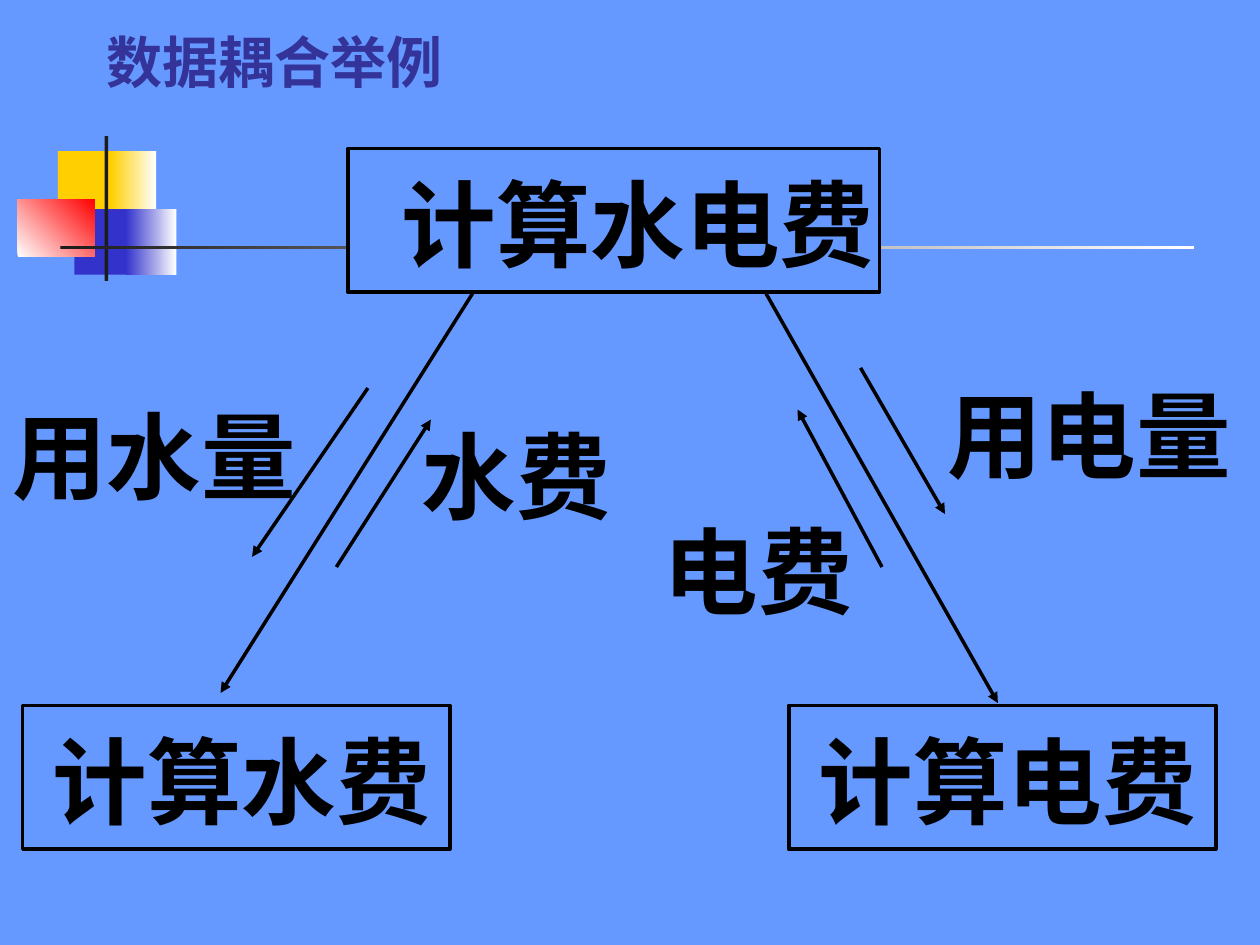
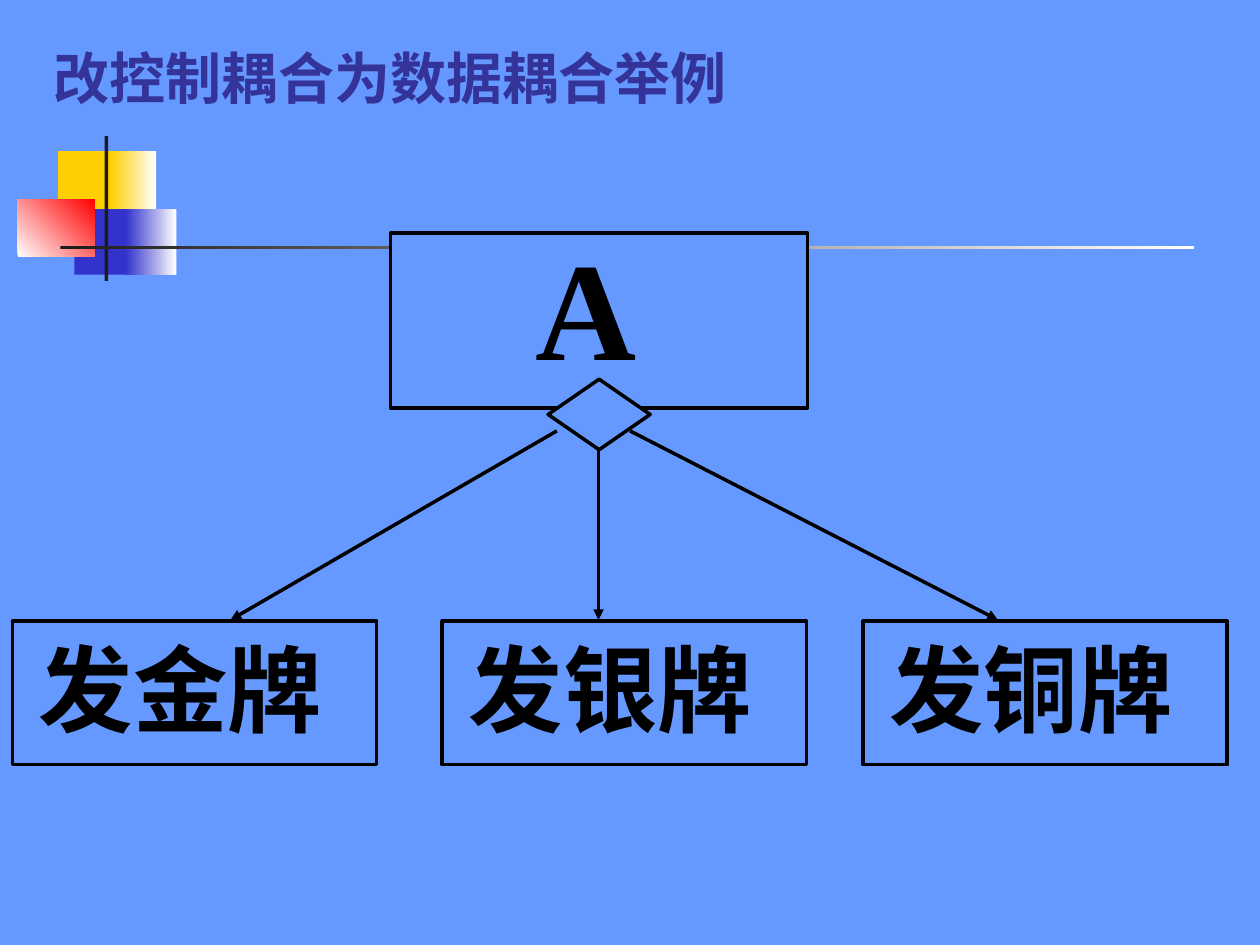
from typing import NamedTuple

from lxml import etree
from pptx import Presentation, util as u
from pptx.dml.color import RGBColor
from pptx.enum import shapes, text
from pptx.oxml import ns

COLORS = {
    "background": "6699FF",
    "title": "333399",
    "ink": "000000",
    "yellow": "FFCF01",
    "blue": "3333CC",
    "red": "FF0000",
    "white": "FFFFFF",
    "dark": "1C1C1C",
}
CJK_FONT = "Noto Sans CJK SC"
LATIN_FONT = "Times New Roman"
LINE_WIDTH = u.Pt(2)


class Rect(NamedTuple):
    left: float
    top: float
    width: float
    height: float


class Block(NamedTuple):
    """Ornament rectangle; with an end colour it is a gradient."""
    rect: Rect
    color: str
    end: str = ""
    angle: float = 0


class Label(NamedTuple):
    text: str
    rect: Rect
    wrap: bool = True


class Arrow(NamedTuple):
    x1: float
    y1: float
    x2: float
    y2: float


# Ornament shared by both slides
ORNAMENT = [
    Block(Rect(0.46, 1.2, 0.48, 0.52), "yellow"),
    Block(Rect(0.88, 1.2, 0.36, 0.52), "yellow", "white"),
    Block(Rect(0.59, 1.66, 0.46, 0.52), "blue"),
    Block(Rect(1, 1.66, 0.4, 0.52), "blue", "white"),
    Block(Rect(0.14, 1.58, 0.61, 0.46), "white", "red", 45),
    Block(Rect(0.83, 1.08, 0.03, 1.15), "dark"),
    Block(Rect(0.48, 1.95, 9, 0.03), "dark", "white"),
]

# Slide 1: modules, data items and arrows
BILL_BOXES = [
    Rect(2.76, 1.18, 4.22, 1.14),
    Rect(0.18, 5.6, 3.39, 1.14),
    Rect(6.26, 5.6, 3.39, 1.14),
]
BILL_LABELS = [
    Label("计算水电费", Rect(3.09, 1.27, 3.95, 1), wrap=False),
    Label("计算水费", Rect(0.32, 5.69, 3.2, 1), wrap=False),
    Label("计算电费", Rect(6.4, 5.69, 3.2, 1), wrap=False),
    Label("用水量", Rect(0, 3.11, 2.5, 1)),
    Label("用电量", Rect(7.42, 2.94, 2.5, 1)),
    Label("水费", Rect(3.25, 3.27, 1.75, 1)),
    Label("电费", Rect(5.17, 4.02, 1.75, 1)),
]
BILL_ARROWS = [
    Arrow(3.75, 2.33, 1.75, 5.5),
    Arrow(6.08, 2.33, 7.92, 5.58),
    Arrow(2.92, 3.08, 2, 4.42),
    Arrow(2.67, 4.5, 3.42, 3.33),
    Arrow(6.83, 2.92, 7.5, 4.08),
    Arrow(7, 4.5, 6.33, 3.25),
]

# Slide 2: medal modules and the arrows that lead to them
MEDALS = {"发金牌": 0.1, "发银牌": 3.51, "发铜牌": 6.85}
MEDAL_ARROWS = [
    Arrow(4.42, 3.42, 1.83, 4.92),
    Arrow(4.75, 3.58, 4.75, 4.92),
    Arrow(5, 3.42, 7.92, 4.92),
]


def rgb(name: str) -> RGBColor:
    return RGBColor.from_string(COLORS[name])


def inches(values) -> list:
    return [u.Inches(v) for v in values]


def add_block(s, block: Block) -> None:
    sp = s.shapes.add_shape(shapes.MSO_SHAPE.RECTANGLE, *inches(block.rect))
    sp.shadow.inherit = False
    sp.line.fill.background()
    if not block.end:
        sp.fill.solid()
        sp.fill.fore_color.rgb = rgb(block.color)
        return
    sp.fill.gradient()
    sp.fill.gradient_angle = block.angle
    for stop, position, name in zip(sp.fill.gradient_stops, (0, 1), (block.color, block.end)):
        stop.position = position
        stop.color.rgb = rgb(name)


def add_box(s, rect: Rect, kind=shapes.MSO_SHAPE.RECTANGLE) -> None:
    sp = s.shapes.add_shape(kind, *inches(rect))
    sp.shadow.inherit = False
    sp.fill.solid()
    sp.fill.fore_color.rgb = rgb("background")
    sp.line.color.rgb = rgb("ink")
    sp.line.width = LINE_WIDTH


def add_text(s, content: str, rect: Rect, *, size: float = 54, color: str = "ink",
             font: str = CJK_FONT, wrap: bool = True, grow: bool = True,
             anchor=text.MSO_ANCHOR.TOP) -> None:
    tf = s.shapes.add_textbox(*inches(rect)).text_frame
    tf.word_wrap = wrap
    tf.vertical_anchor = anchor
    tf.auto_size = text.MSO_AUTO_SIZE.SHAPE_TO_FIT_TEXT if grow else text.MSO_AUTO_SIZE.NONE
    r = tf.paragraphs[0].add_run()
    r.text = content
    r.font.size = u.Pt(size)
    r.font.bold = True
    r.font.name = font
    r.font.color.rgb = rgb(color)
    # East Asian glyphs need their own typeface entry
    etree.SubElement(r._r.get_or_add_rPr(), ns.qn("a:ea"), typeface=font)


def add_arrow(s, arrow: Arrow) -> None:
    cxn = s.shapes.add_connector(shapes.MSO_CONNECTOR.STRAIGHT, *inches(arrow))
    cxn.line.color.rgb = rgb("ink")
    cxn.line.width = LINE_WIDTH
    etree.SubElement(cxn.line._get_or_add_ln(), ns.qn("a:tailEnd"), type="triangle")
    etree.SubElement(cxn._element.spPr, ns.qn("a:effectLst"))


def add_slide(prs, title: str, title_rect: Rect):
    s = prs.slides.add_slide(prs.slide_layouts[6])
    s.background.fill.solid()
    s.background.fill.fore_color.rgb = rgb("background")
    for block in ORNAMENT:
        add_block(s, block)
    add_text(s, title, title_rect, size=32, color="title", grow=False,
             anchor=text.MSO_ANCHOR.MIDDLE)
    return s


def build_bill_slide(prs) -> None:
    s = add_slide(prs, "数据耦合举例", Rect(0.75, 0.06, 8.5, 0.85))
    for rect in BILL_BOXES:
        add_box(s, rect)
    for arrow in BILL_ARROWS:
        add_arrow(s, arrow)
    for label in BILL_LABELS:
        add_text(s, label.text, label.rect, wrap=label.wrap)


def build_medal_slide(prs) -> None:
    s = add_slide(prs, "改控制耦合为数据耦合举例", Rect(0.33, 0.06, 9.08, 1.1))
    # Calling module with its decision diamond
    add_box(s, Rect(3.1, 1.85, 3.31, 1.39))
    add_text(s, "A", Rect(4.15, 1.7, 1.1, 1.43), size=80, font=LATIN_FONT)
    add_box(s, Rect(4.35, 3.01, 0.81, 0.56), shapes.MSO_SHAPE.DIAMOND)
    for arrow in MEDAL_ARROWS:
        add_arrow(s, arrow)
    # Called modules
    for name, left in MEDALS.items():
        add_box(s, Rect(left, 4.93, 2.89, 1.14))
        add_text(s, name, Rect(left + 0.11, 4.96, 2.45, 1), wrap=False)


def main() -> None:
    prs = Presentation()
    prs.slide_width, prs.slide_height = inches((10, 7.5))
    build_bill_slide(prs)
    build_medal_slide(prs)
    prs.save("out.pptx")


if __name__ == "__main__":
    main()
